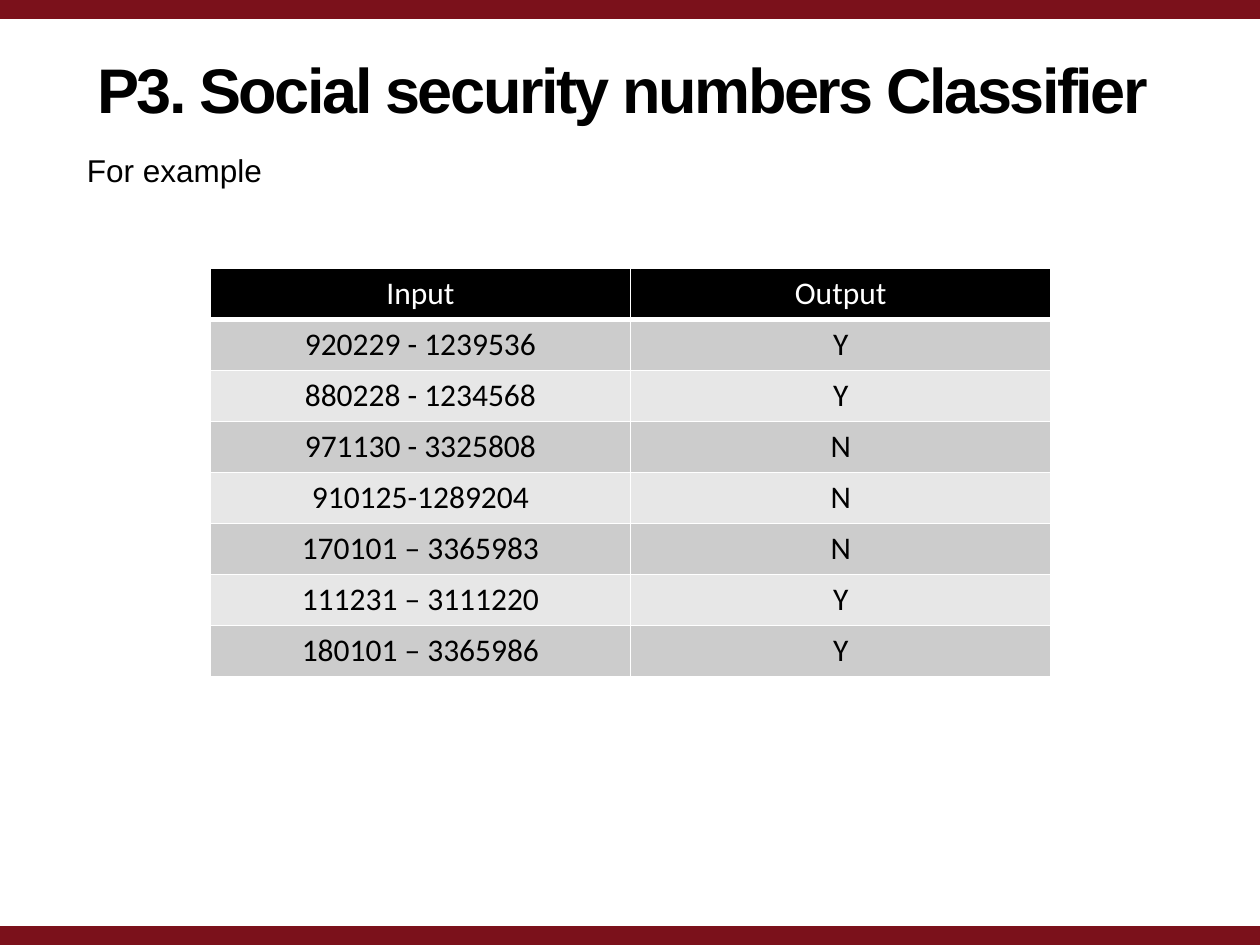
import pptx
import pptx.dml.color
import pptx.enum.shapes
import pptx.enum.text
import pptx.oxml
import pptx.oxml.ns
import pptx.util

Inches = pptx.util.Inches
Pt = pptx.util.Pt
RGBColor = pptx.dml.color.RGBColor
Align = pptx.enum.text.PP_ALIGN
Anchor = pptx.enum.text.MSO_ANCHOR

RED = RGBColor(0x7B, 0x11, 0x1B)
BLACK = RGBColor(0, 0, 0)
WHITE = RGBColor(0xFF, 0xFF, 0xFF)
DARK = RGBColor(0xCC, 0xCC, 0xCC)
LIGHT = RGBColor(0xE7, 0xE7, 0xE7)

ROWS = [
    ("Input", "Output"),
    ("920229 - 1239536", "Y"),
    ("880228 - 1234568", "Y"),
    ("971130 - 3325808", "N"),
    ("910125-1289204", "N"),
    ("170101 – 3365983", "N"),
    ("111231 – 3111220", "Y"),
    ("180101 – 3365986", "Y"),
]


class Deck:
    head = "Arial"
    body = "Calibri"
    size = 18

    def __init__(self, wide, high):
        self.show = pptx.Presentation()
        self.show.slide_width = Inches(wide)
        self.show.slide_height = Inches(high)
        self.slide = self.show.slides.add_slide(self.show.slide_layouts[5])

    def place(self, shape, box):
        shape.left, shape.top, shape.width, shape.height = map(Inches, box)

    def run(self, para, text, font, size, color, bold=False):
        run = para.add_run()
        run.text = text
        run.font.name = font
        run.font.size = Pt(size)
        run.font.color.rgb = color
        run.font.bold = bold
        return run

    def frame(self, shape, anchor):
        frame = shape.text_frame
        frame.word_wrap = True
        frame.vertical_anchor = anchor
        frame.margin_left = frame.margin_right = 0
        frame.margin_top = frame.margin_bottom = 0
        para = frame.paragraphs[0]
        para.alignment = Align.LEFT
        return para

    def title(self, text, box):
        shape = self.slide.shapes.title
        self.place(shape, box)
        para = self.frame(shape, Anchor.MIDDLE)
        shape.text_frame.auto_size = pptx.enum.text.MSO_AUTO_SIZE.NONE
        run = self.run(para, text, self.head, 36, BLACK, True)
        run.font._element.set("spc", "-140")

    def text(self, text, box):
        shape = self.slide.shapes.add_textbox(*map(Inches, box))
        para = self.frame(shape, Anchor.TOP)
        self.run(para, text, self.head, self.size, BLACK)

    def bar(self, box):
        kind = pptx.enum.shapes.MSO_SHAPE.RECTANGLE
        shape = self.slide.shapes.add_shape(kind, *map(Inches, box))
        shape.shadow.inherit = False
        shape.fill.solid()
        shape.fill.fore_color.rgb = RED
        shape.line.fill.background()

    def edge(self, cell, low, high):
        props = cell._tc.get_or_add_tcPr()
        sides = (("lnL", 1), ("lnR", 1), ("lnT", high), ("lnB", low))
        for spot, (side, width) in enumerate(sides):
            line = pptx.oxml.parse_xml(
                f'<a:{side} {pptx.oxml.ns.nsdecls("a")} w="{Pt(width)}">'
                f'<a:solidFill><a:srgbClr val="{WHITE}"/></a:solidFill>'
                f'</a:{side}>'
            )
            props.insert(spot, line)

    def table(self, rows, box):
        shape = self.slide.shapes.add_table(
            len(rows), len(rows[0]), *map(Inches, box))
        grid = shape.table
        for r, row in enumerate(rows):
            fill = BLACK if r == 0 else DARK if r % 2 else LIGHT
            for c, text in enumerate(row):
                cell = grid.cell(r, c)
                cell.fill.solid()
                cell.fill.fore_color.rgb = fill
                self.edge(cell, 3 if r == 0 else 1, 3 if r == 1 else 1)
                para = cell.text_frame.paragraphs[0]
                para.alignment = Align.CENTER
                color = BLACK if r else WHITE
                self.run(para, text, self.body, self.size, color)


def main():
    deck = Deck(10, 7.5)
    for top in (7.35, 0):
        deck.bar((0, top, 10, 0.15))
    deck.title("P3. Social security numbers Classifier",
               (0.77, 0.4, 8.45, 0.61))
    deck.text("For example", (0.69, 1.2, 8.62, 6.15))
    deck.table(ROWS, (1.67, 2.13, 6.67, 3.24))
    deck.show.save("out.pptx")


if __name__ == "__main__":
    main()
